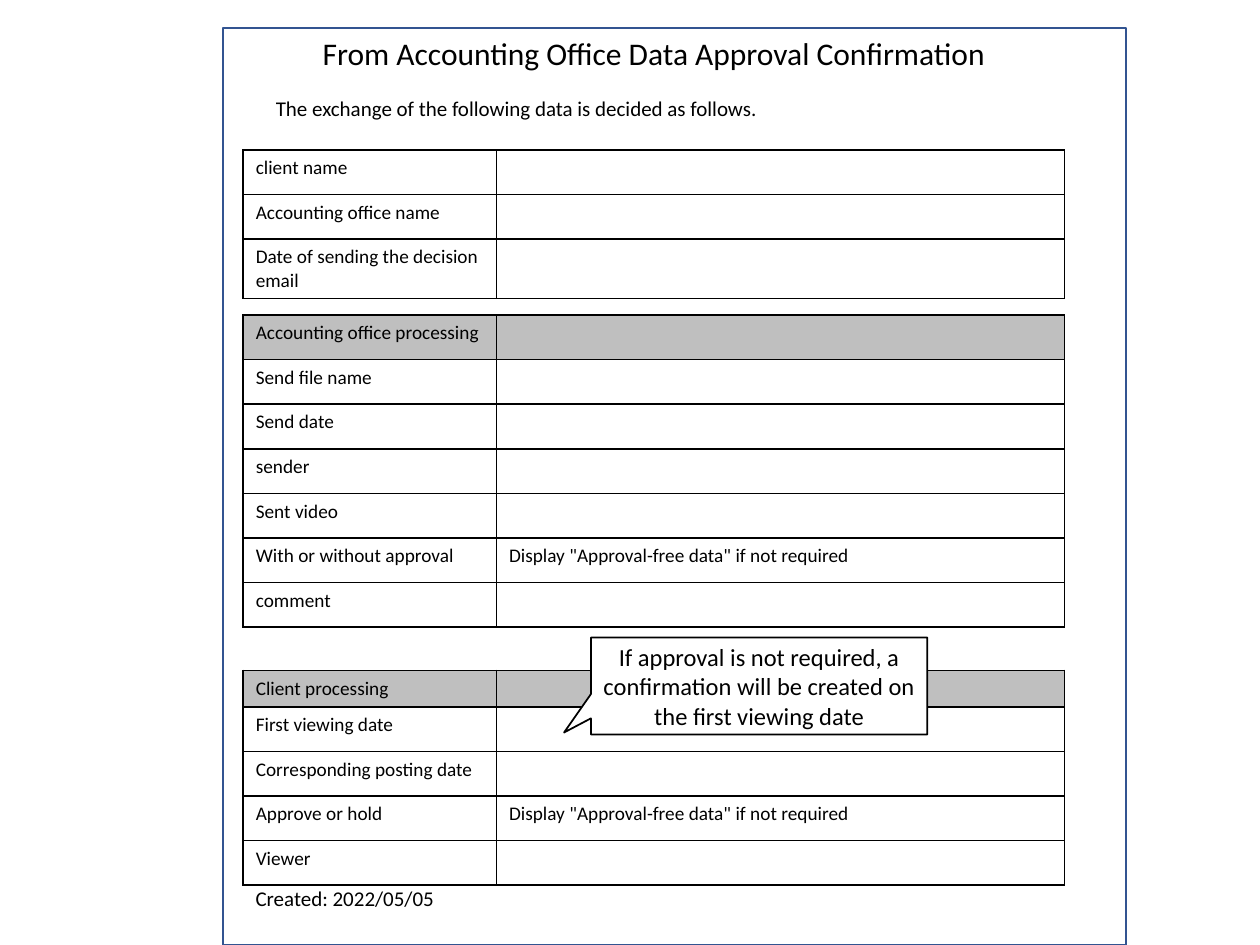
"""Build the data approval confirmation form as a single slide."""
from dataclasses import dataclass

import lxml.etree
import pptx
import pptx.dml.color
import pptx.enum.shapes
import pptx.enum.text
import pptx.oxml.ns
import pptx.util

COLUMNS, ROWS = 100, 75
SLIDE_WIDTH, SLIDE_HEIGHT = pptx.util.Inches(10), pptx.util.Inches(7.5)
FORM_LEFT, FORM_WIDTH = 19.3, 65.2
LABEL_WIDTH = 20.1
ROW, HEADER_ROW, TALL_ROW = 3.54, 2.9, 4.7
APPROVAL_NOTE = 'Display "Approval-free data" if not required'
ALIGN = pptx.enum.text.PP_ALIGN
ANCHOR = pptx.enum.text.MSO_ANCHOR


@dataclass(frozen=True)
class Theme:
    """Colours, font and type sizes of the form."""
    font: str = "Calibri"
    ink: str = "000000"
    paper: str = "FFFFFF"
    heading_fill: str = "BFBFBF"
    frame: str = "325491"
    title_size: int = 18
    callout_size: int = 14
    text_size: int = 12
    cell_size: int = 11
    line_width: int = 1


@dataclass(frozen=True)
class Box:
    """A rectangle in grid columns and rows."""
    left: float
    top: float
    width: float
    height: float

    def emu(self) -> tuple[int, int, int, int]:
        """Return left, top, width and height as slide lengths."""
        return across(self.left), down(self.top), across(self.width), down(self.height)


@dataclass(frozen=True)
class Entry:
    """One row of a form section."""
    label: str
    value: str = ""
    height: float = ROW
    heading: bool = False


@dataclass(frozen=True)
class Section:
    """A table of entries starting at a grid row."""
    top: float
    entries: tuple[Entry, ...]


@dataclass(frozen=True)
class Statement:
    """A line of free text on the form."""
    text: str
    box: Box


THEME = Theme()
SECTIONS = (
    Section(11.9, (
        Entry("client name"),
        Entry("Accounting office name"),
        Entry("Date of sending the decision email", height=TALL_ROW),
    )),
    Section(25, (
        Entry("Accounting office processing", heading=True),
        Entry("Send file name"),
        Entry("Send date"),
        Entry("sender"),
        Entry("Sent video"),
        Entry("With or without approval", APPROVAL_NOTE),
        Entry("comment"),
    )),
    Section(53.2, (
        Entry("Client processing", height=HEADER_ROW, heading=True),
        Entry("First viewing date"),
        Entry("Corresponding posting date"),
        Entry("Approve or hold", APPROVAL_NOTE),
        Entry("Viewer"),
    )),
)
STATEMENTS = (
    Statement("The exchange of the following data is decided as follows.",
              Box(20.9, 7.1, FORM_WIDTH, 3)),
    Statement("Created: 2022/05/05", Box(FORM_LEFT, 69.8, FORM_WIDTH, 3)),
)


def across(columns: float) -> int:
    """Convert grid columns to a slide length."""
    return round(SLIDE_WIDTH * columns / COLUMNS)


def down(rows: float) -> int:
    """Convert grid rows to a slide length."""
    return round(SLIDE_HEIGHT * rows / ROWS)


def rgb(value: str) -> pptx.dml.color.RGBColor:
    """Return a colour from its hex value."""
    return pptx.dml.color.RGBColor.from_string(value)


def write(frame, text: str, size: int, align=ALIGN.LEFT, anchor=ANCHOR.TOP) -> None:
    """Write one formatted run into a text frame."""
    frame.word_wrap = True
    frame.vertical_anchor = anchor
    paragraph = frame.paragraphs[0]
    paragraph.alignment = align
    run = paragraph.add_run()
    run.text = text
    run.font.name = THEME.font
    run.font.size = pptx.util.Pt(size)
    run.font.color.rgb = rgb(THEME.ink)


def add_border(cell) -> None:
    """Draw a solid line on every side of a cell."""
    properties = cell._tc.get_or_add_tcPr()
    qn = pptx.oxml.ns.qn
    for position, side in enumerate(("a:lnL", "a:lnR", "a:lnT", "a:lnB")):
        line = lxml.etree.Element(qn(side), w=str(pptx.util.Pt(THEME.line_width)))
        fill = lxml.etree.SubElement(line, qn("a:solidFill"))
        lxml.etree.SubElement(fill, qn("a:srgbClr"), val=THEME.ink)
        properties.insert(position, line)


def fill_cell(cell, text: str, heading: bool) -> None:
    """Set the text, fill and border of a cell."""
    if text:
        write(cell.text_frame, text, THEME.cell_size)
    else:
        lxml.etree.SubElement(cell.text_frame.paragraphs[0]._p,
                              pptx.oxml.ns.qn("a:endParaRPr"),
                              sz=str(THEME.cell_size * 100))
    if heading:
        cell.fill.solid()
        cell.fill.fore_color.rgb = rgb(THEME.heading_fill)
    else:
        cell.fill.background()
    add_border(cell)


def add_section(slide, section: Section) -> None:
    """Add one form section as a two-column table."""
    height = sum(entry.height for entry in section.entries)
    box = Box(FORM_LEFT, section.top, FORM_WIDTH, height)
    form = slide.shapes.add_table(len(section.entries), 2, *box.emu()).table
    form.first_row = form.horz_banding = False
    for column, width in zip(form.columns, (LABEL_WIDTH, FORM_WIDTH - LABEL_WIDTH)):
        column.width = across(width)
    for index, entry in enumerate(section.entries):
        form.rows[index].height = down(entry.height)
        for column, text in enumerate((entry.label, entry.value)):
            fill_cell(form.cell(index, column), text, entry.heading)


def add_outlined(slide, preset, box: Box, line: str):
    """Add an outlined preset shape without a shadow."""
    outlined = slide.shapes.add_shape(preset, *box.emu())
    outlined.shadow.inherit = False
    outlined.fill.background()
    outlined.line.color.rgb = rgb(line)
    outlined.line.width = pptx.util.Pt(THEME.line_width)
    return outlined


def main() -> None:
    """Assemble and save the form."""
    presentation = pptx.Presentation()
    presentation.slide_width, presentation.slide_height = SLIDE_WIDTH, SLIDE_HEIGHT
    slide = presentation.slides.add_slide(presentation.slide_layouts[5])
    presets = pptx.enum.shapes.MSO_SHAPE
    add_outlined(slide, presets.RECTANGLE, Box(17.7, 2.2, 71.7, 72.8), THEME.frame)
    title = slide.shapes.title
    title.left, title.top, title.width, title.height = Box(FORM_LEFT, 2.2, FORM_WIDTH, 4).emu()
    title.text_frame.auto_size = pptx.enum.text.MSO_AUTO_SIZE.SHAPE_TO_FIT_TEXT
    write(title.text_frame, "From Accounting Office Data Approval Confirmation",
          THEME.title_size, ALIGN.CENTER)
    for section in SECTIONS:
        add_section(slide, section)
    for statement in STATEMENTS:
        caption = slide.shapes.add_textbox(*statement.box.emu())
        write(caption.text_frame, statement.text, THEME.text_size)
    callout = add_outlined(slide, presets.RECTANGULAR_CALLOUT,
                           Box(46.9, 50.6, 26.7, 7.7), THEME.ink)
    callout.fill.solid()
    callout.fill.fore_color.rgb = rgb(THEME.paper)
    callout.adjustments[0], callout.adjustments[1] = -0.58, 0.48
    write(callout.text_frame, "If approval is not required, a confirmation will be "
          "created on the first viewing date", THEME.callout_size, ALIGN.CENTER, ANCHOR.MIDDLE)
    presentation.save("out.pptx")


main()
